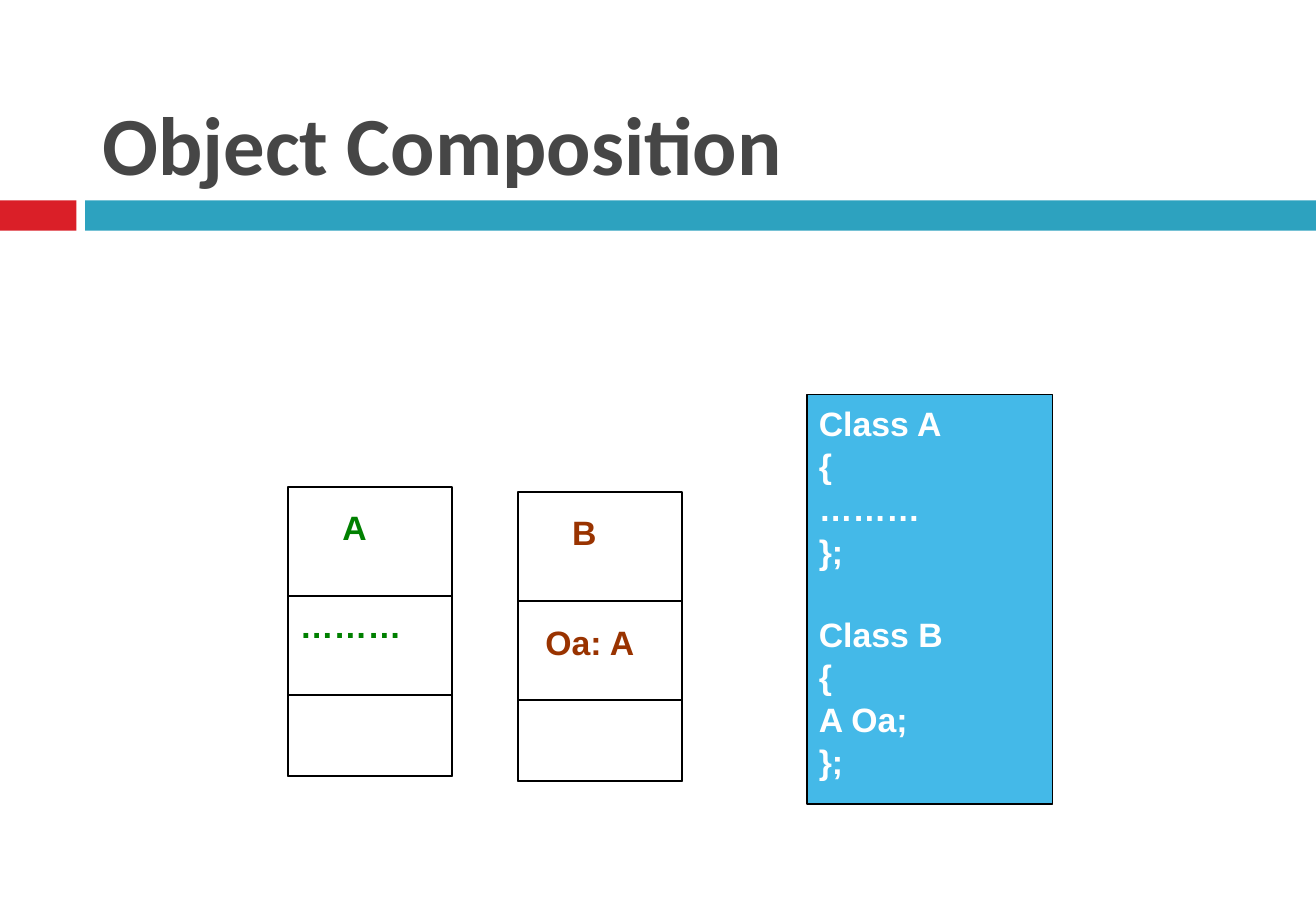
from pptx import Presentation
from pptx.dml.color import RGBColor
from pptx.enum.shapes import MSO_SHAPE
from pptx.enum.text import MSO_ANCHOR, PP_ALIGN
from pptx.util import Inches, Pt

WHITE = RGBColor(0xFF, 0xFF, 0xFF)
BLACK = RGBColor(0x00, 0x00, 0x00)
GRAY = RGBColor(0x46, 0x46, 0x46)
RED = RGBColor(0xDA, 0x1F, 0x28)
TEAL = RGBColor(0x2D, 0xA2, 0xBF)
SKY = RGBColor(0x44, 0xB9, 0xE8)
GREEN = RGBColor(0x00, 0x80, 0x00)
BROWN = RGBColor(0x99, 0x33, 0x00)


def add_rect(s, x, y, w, h, fill, line=None, width=1.25):
    sp = s.shapes.add_shape(MSO_SHAPE.RECTANGLE, Inches(x), Inches(y), Inches(w), Inches(h))
    sp.shadow.inherit = False
    sp.fill.solid()
    sp.fill.fore_color.rgb = fill
    if line is None:
        sp.line.fill.background()
    else:
        sp.line.color.rgb = line
        sp.line.width = Pt(width)
    return sp


def add_text(sp, lines, color):
    tf = sp.text_frame
    tf.word_wrap = True
    tf.vertical_anchor = MSO_ANCHOR.TOP
    for i, text in enumerate(lines):
        p = tf.paragraphs[0] if i == 0 else tf.add_paragraph()
        p.alignment = PP_ALIGN.LEFT
        p.line_spacing = 1.05
        r = p.add_run()
        r.text = text
        r.font.name = "Arial"
        r.font.size = Pt(20)
        r.font.bold = True
        r.font.color.rgb = color


prs = Presentation()
prs.slide_width = Inches(10.83)
prs.slide_height = Inches(7.5)
s = prs.slides.add_slide(prs.slide_layouts[5])

add_rect(s, 0, 1.65, 0.63, 0.25, RED)
add_rect(s, 0.7, 1.65, 10.13, 0.25, TEAL)

title = s.shapes.title
title.left, title.top = Inches(0.72), Inches(0.17)
title.width, title.height = Inches(9.66), Inches(1.47)
tf = title.text_frame
tf.vertical_anchor = MSO_ANCHOR.BOTTOM
tf.margin_left = tf.margin_right = Inches(0.12)
tf.margin_top = tf.margin_bottom = Inches(0.06)
p = tf.paragraphs[0]
p.alignment = PP_ALIGN.LEFT
r = p.add_run()
r.text = "Object Composition"
r.font.name = "Calibri"
r.font.size = Pt(49)
r.font.bold = True
r.font.color.rgb = GRAY

ROWS = [(0, 0.9), (0.9, 1.48), (1.71, 0.67)]
for name, x, y, color, member in [
    ("A", 2.37, 4.01, GREEN, "………"),
    ("B", 4.26, 4.05, BROWN, None),
]:
    cells = [add_rect(s, x, y + dy, 1.35, h, WHITE, BLACK) for dy, h in ROWS]
    if member:
        add_text(cells[1], [member], color)
    label = add_rect(s, x + 0.35, y + 0.1, 0.64, 0.67, WHITE, WHITE)
    add_text(label, [name], color)

attribute = add_rect(s, 4.39, 5.05, 1.17, 0.68, WHITE, WHITE)
add_text(attribute, ["Oa: A"], BROWN)

code = add_rect(s, 6.64, 3.25, 2.02, 3.37, SKY, BLACK, 0.75)
add_text(code, ["Class A", "{", "………", "};", "Class B", "{", "A Oa;", "};"], WHITE)
code.text_frame.paragraphs[4].space_before = Pt(24)

prs.save("out.pptx")
